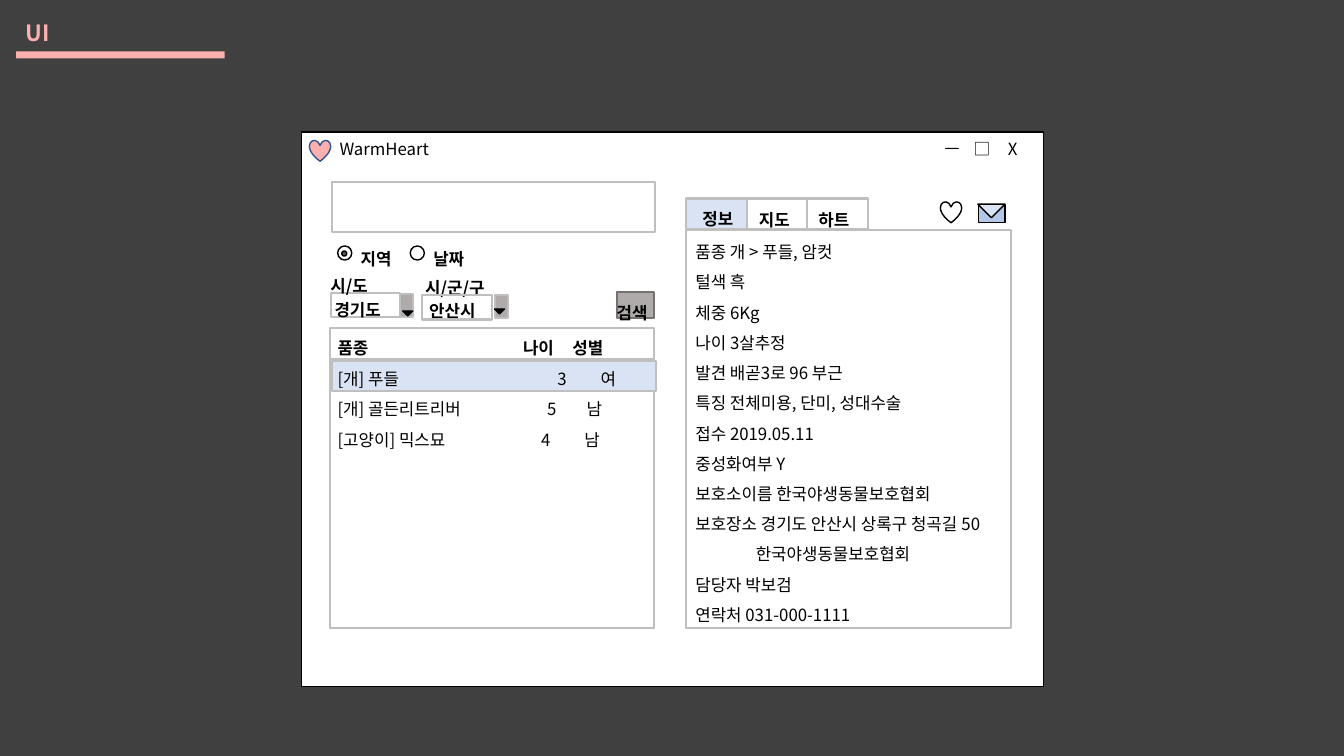
"""Build the pet search window mock-up slide."""
from dataclasses import dataclass
from typing import Optional, Union

from lxml.etree import SubElement
from pptx import Presentation
from pptx.dml.color import RGBColor
from pptx.enum.shapes import MSO_SHAPE as Preset
from pptx.enum.text import MSO_AUTO_SIZE as AutoSize
from pptx.oxml.ns import qn
from pptx.slide import Slide
from pptx.util import Inches, Pt

CELL = Inches(0.1)
COLUMNS, ROWS = 133.33, 75


@dataclass(frozen=True)
class Theme:
    font: str = "Noto Sans CJK KR"
    heading: int = 16
    body: int = 12
    thin: float = 1
    thick: float = 1.5
    backdrop: str = "404040"
    accent: str = "FCAFAF"
    white: str = "FFFFFF"
    black: str = "000000"
    border: str = "BFBFBF"
    selected: str = "DAE3F3"
    envelope: str = "B4C7E7"
    button: str = "AFABAB"
    button_edge: str = "767171"
    heart_edge: str = "325491"
    dot: str = "595959"


THEME = Theme()


@dataclass(frozen=True)
class Box:
    left: float
    top: float
    width: float
    height: float
    fill: Optional[str] = None
    line: Optional[str] = THEME.border
    weight: float = THEME.thick
    preset: Preset = Preset.RECTANGLE
    rotation: float = 0


@dataclass(frozen=True)
class Line:
    text: str
    stops: tuple[float, ...] = ()


@dataclass(frozen=True)
class Label:
    left: float
    top: float
    width: float
    lines: tuple[Line, ...]
    height: float = 3.6
    bold: bool = True
    size: int = THEME.body
    color: str = THEME.black
    spacing: float = 1.5


Element = Union[Box, Label]


def caption(text: str, left: float, top: float, width: float = 5.8) -> Label:
    """Return a bold one-line label."""
    return Label(left, top, width, (Line(text),))


def icon(preset: Preset, left: float, top: float, size: float, fill: Optional[str],
         line: str = THEME.black, rotation: float = 0) -> Box:
    """Return a square, thinly outlined symbol."""
    return Box(left, top, size, size, fill, line, THEME.thin, preset, rotation)


def arrow(left: float, top: float, size: float = 0.7, fill: str = THEME.black) -> Box:
    """Return a triangle that points down."""
    return icon(Preset.RIGHT_TRIANGLE, left, top, size, fill, rotation=315)


def radio(index: int, text: str) -> list[Element]:
    """Return one radio button with its label."""
    left = 33.5 + 7.2 * index
    return [icon(Preset.OVAL, left, 24.4, 1.4, None), caption(text, left + 1.3, 23.2)]


def tab(index: int, text: str, inset: float, top: float, fill: Optional[str]) -> list[Element]:
    """Return one tab of the details panel."""
    left = 68.1 + 6 * index
    return [Box(left, 19.7, 6, 3, fill), caption(text, left + inset, top)]


DETAILS = (
    Line("품종 개 > 푸들, 암컷"),
    Line("털색 흑"),
    Line("체중 6Kg"),
    Line("나이 3살추정"),
    Line("발견 배곧3로 96 부근"),
    Line("특징 전체미용, 단미, 성대수술"),
    Line("접수 2019.05.11"),
    Line("중성화여부 Y"),
    Line("보호소이름 한국야생동물보호협회"),
    Line("보호장소 경기도 안산시 상록구 청곡길 50"),
    Line("\t한국야생동물보호협회", (6,)),
    Line("담당자 박보검"),
    Line("연락처 031-000-1111"),
)
ANIMALS = (
    Line("[개] 푸들\t3\t여", (21.8, 26.1)),
    Line("[개] 골든리트리버\t5\t남", (20.8, 24.7)),
    Line("[고양이] 믹스묘\t4\t남", (20.2, 24.5)),
)

HEADING = [
    Label(1.6, 1.4, 23, (Line("UI"),), 3.7, size=THEME.heading, color=THEME.accent, spacing=1),
    Box(1.6, 5.1, 20.7, 0.7, THEME.accent, None),
]
WINDOW = [
    Box(29.9, 13.1, 73.6, 55, THEME.white, THEME.black, THEME.thin),
    Label(32.7, 13.3, 71.5, (Line("WarmHeart\tㅡ\t□\tX", (60, 62.9, 66.3)),), 3,
          bold=False, spacing=1),
    icon(Preset.HEART, 30.7, 13.9, 2.1, THEME.accent, THEME.heart_edge),
]
SEARCH = [
    Box(32.9, 18.1, 32.1, 4.9, THEME.white),
    Box(32.7, 32.5, 32.2, 29.8, THEME.white),
    *radio(0, "지역"),
    *radio(1, "날짜"),
    icon(Preset.OVAL, 33.9, 24.9, 0.5, THEME.dot),
    Box(32.8, 29.1, 6.9, 2.4, THEME.white),
    Box(39.7, 29.2, 1.3, 2.3, THEME.button),
    arrow(40.1, 30.5),
    caption("경기도", 32.2, 28.2, 7.5),
    caption("시/도", 31.8, 25.9, 7.5),
    Box(49.1, 29.3, 1.3, 2.3, THEME.button),
    caption("안산시", 41.6, 28.3, 7.5),
    caption("시/군/구", 41.2, 26.1, 11.4),
    Box(41.9, 29.3, 6.9, 2.4),
    arrow(49.2, 30.3),
    Box(61.2, 29, 3.7, 2.6, THEME.button, THEME.button_edge),
    caption("검색", 60.2, 28.5, 11.4),
]
RESULTS = [
    Label(32.5, 32, 32.8, (Line("품종\t나이\t성별", (18.4, 23.3)),)),
    Box(32.7, 35.6, 32.2, 26.7, THEME.white),
    Box(32.9, 35.8, 32.2, 3, THEME.selected),
    Label(32.5, 35.1, 32.8, ANIMALS, 9.7, bold=False),
]
PANEL = [
    Box(68.1, 22.8, 32.2, 39.5, THEME.white),
    *tab(0, "정보", 0.6, 19.2, THEME.selected),
    *tab(1, "지도", 0.2, 19.3, None),
    *tab(2, "하트", 0.1, 19.3, None),
    Label(68, 22.5, 35.6, DETAILS, 40, bold=False),
    icon(Preset.HEART, 93.3, 20, 2.1, THEME.white),
    Box(97.1, 20.3, 2.6, 1.8, THEME.envelope, THEME.black, THEME.thin),
    arrow(97.4, 19.3, 1.9, THEME.selected),
]


def cells(*counts: float) -> list[int]:
    """Convert grid cells to slide units."""
    return [round(count * CELL) for count in counts]


def apply(target: object, values: dict[str, object]) -> None:
    """Set every format value on the target."""
    for name, value in values.items():
        setattr(target, name, value)


def draw_box(slide: Slide, box: Box) -> None:
    """Draw one preset shape."""
    shape = slide.shapes.add_shape(box.preset, *cells(box.left, box.top, box.width, box.height))
    shape.rotation = box.rotation
    shape.shadow.inherit = False
    for paint, color in ((shape.fill, box.fill), (shape.line.fill, box.line)):
        if color:
            paint.solid()
            paint.fore_color.rgb = RGBColor.from_string(color)
        else:
            paint.background()
    if box.line:
        shape.line.width = Pt(box.weight)


def draw_label(slide: Slide, label: Label) -> None:
    """Draw one text box with its tab stops."""
    shape = slide.shapes.add_textbox(*cells(label.left, label.top, label.width, label.height))
    frame = shape.text_frame
    apply(frame, {"word_wrap": True, "auto_size": AutoSize.SHAPE_TO_FIT_TEXT})
    for index, line in enumerate(label.lines):
        paragraph = frame.add_paragraph() if index else frame.paragraphs[0]
        paragraph.line_spacing = label.spacing
        if line.stops:
            stops = SubElement(paragraph._p.get_or_add_pPr(), qn("a:tabLst"))
            for position in cells(*line.stops):
                SubElement(stops, qn("a:tab"), pos=str(position), algn="l")
        run = paragraph.add_run()
        run.text = line.text
        apply(run.font, {"name": THEME.font, "size": Pt(label.size), "bold": label.bold})
        run.font.color.rgb = RGBColor.from_string(label.color)
        SubElement(run._r.get_or_add_rPr(), qn("a:ea"), typeface=THEME.font)


def main() -> None:
    """Build and save the presentation."""
    presentation = Presentation()
    width, height = cells(COLUMNS, ROWS)
    apply(presentation, {"slide_width": width, "slide_height": height})
    slide = presentation.slides.add_slide(presentation.slide_layouts[6])
    slide.background.fill.solid()
    slide.background.fill.fore_color.rgb = RGBColor.from_string(THEME.backdrop)
    for element in HEADING + WINDOW + SEARCH + RESULTS + PANEL:
        if isinstance(element, Box):
            draw_box(slide, element)
        else:
            draw_label(slide, element)
    presentation.save("out.pptx")


if __name__ == "__main__":
    main()
